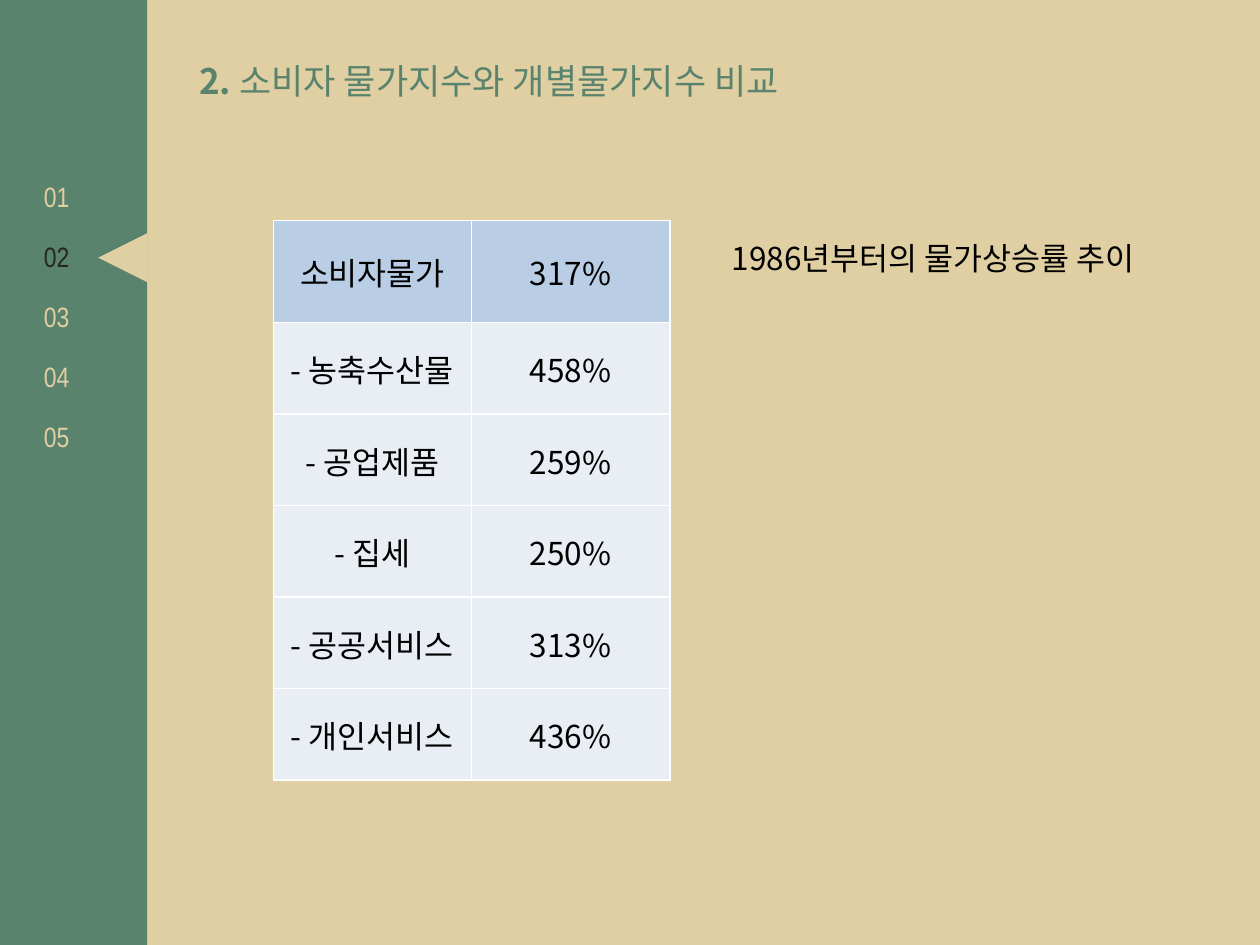
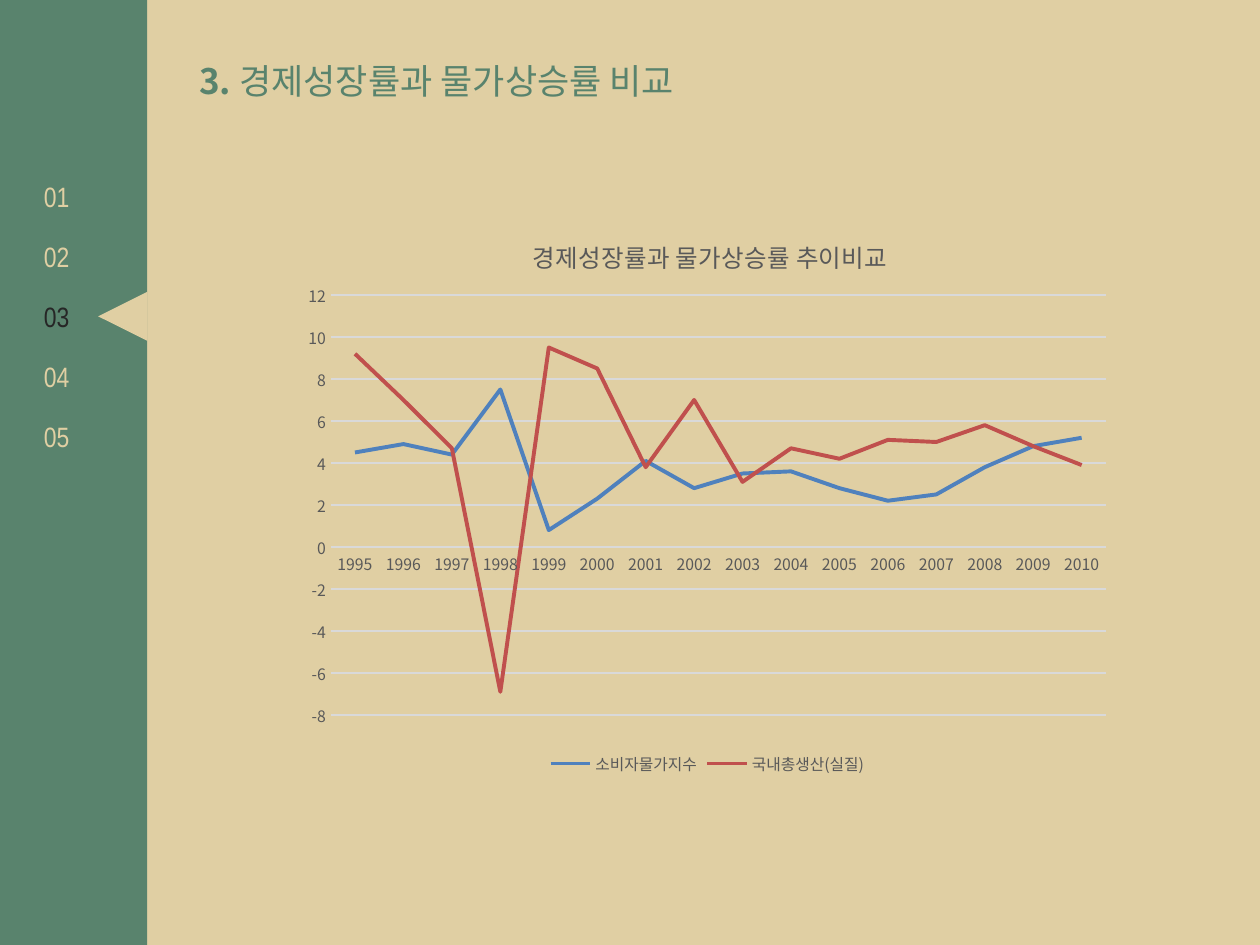
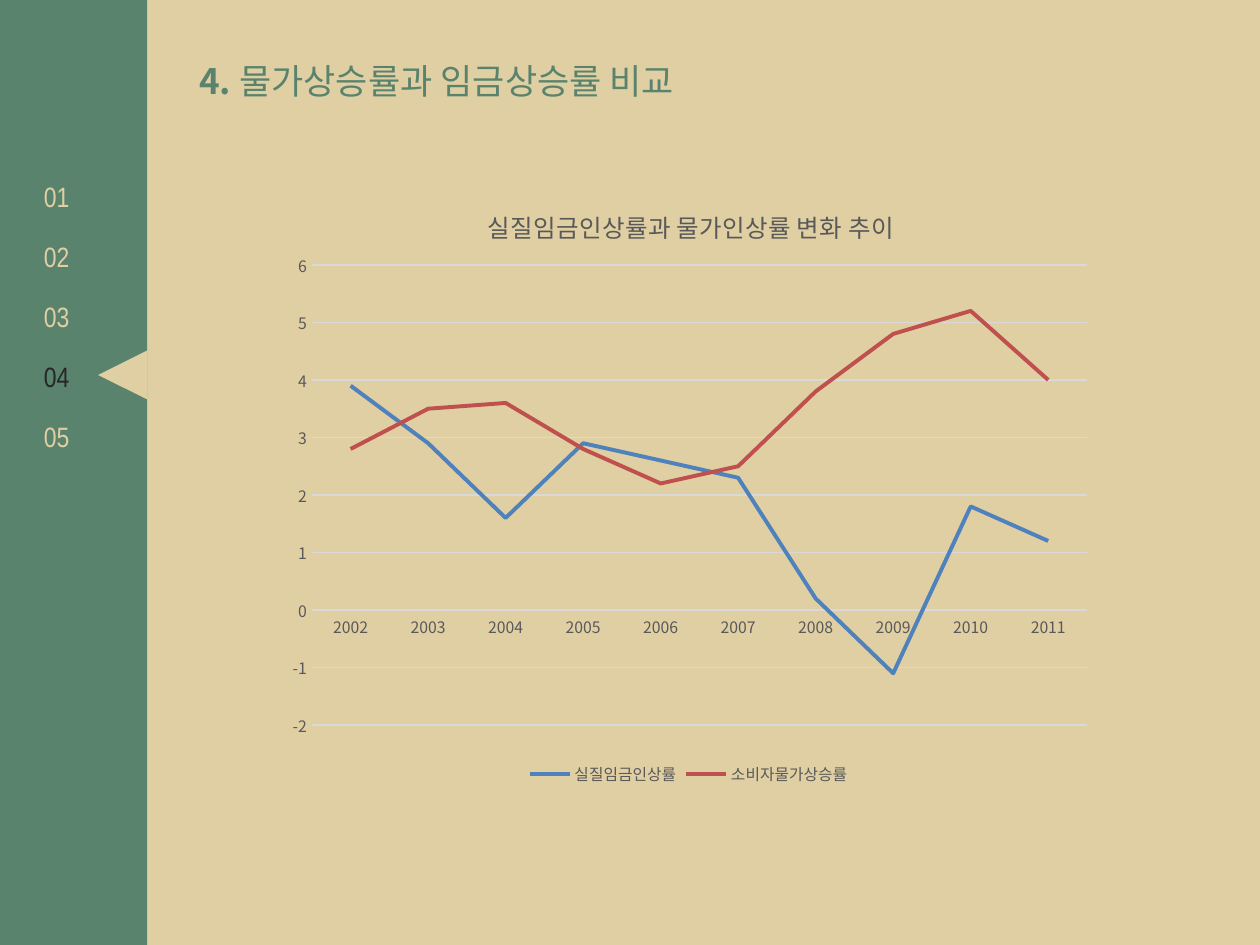
from lxml.etree import SubElement
from pptx import Presentation
from pptx.chart.data import CategoryChartData
from pptx.dml.color import RGBColor
from pptx.enum.chart import XL_CHART_TYPE, XL_LEGEND_POSITION, XL_TICK_MARK
from pptx.enum.shapes import MSO_SHAPE
from pptx.enum.text import MSO_ANCHOR, MSO_AUTO_SIZE, PP_ALIGN
from pptx.oxml import parse_xml
from pptx.oxml.ns import nsdecls, qn
from pptx.util import Pt

COLORS = {
    "sand": "E0CFA3", "green": "59836D", "dark": "262626", "black": "000000",
    "white": "FFFFFF", "header": "B9CDE5", "row": "E9EDF4",
    "label": "595959", "grid": "D9D9D9", "blue": "4F81BD", "red": "C0504D",
}
KOREAN = "Noto Sans CJK KR"
NARROW = "Arial Narrow"
SECTIONS = 5
BAND_WIDTH = 84.2


def rgb(name):
    return RGBColor.from_string(COLORS[name])


def format_font(font, size, color="black", name=KOREAN, bold=False):
    """Set a font for both Latin and Korean letters."""
    font.size, font.name, font.bold = Pt(size), name, bold
    font.color.rgb = rgb(color)
    SubElement(font._rPr, qn("a:ea")).set("typeface", name)


def add_run(p, text, align=None, **fmt):
    p.alignment = align
    r = p.add_run()
    r.text = text
    format_font(r.font, **fmt)


def add_text(s, text, x, y, w, h, wrap=True, **fmt):
    tf = s.shapes.add_textbox(Pt(x), Pt(y), Pt(w), Pt(h)).text_frame
    tf.word_wrap = wrap
    add_run(tf.paragraphs[0], text, **fmt)


def add_block(s, kind, x, y, w, h, color):
    sp = s.shapes.add_shape(kind, Pt(x), Pt(y), Pt(w), Pt(h))
    sp.shadow.inherit = False
    sp.fill.solid()
    sp.fill.fore_color.rgb = rgb(color)
    sp.line.fill.background()
    return sp


def add_navigation(s, current):
    add_block(s, MSO_SHAPE.RECTANGLE, 0, 0, BAND_WIDTH, 540, "green")
    size = 28.1
    pointer = add_block(s, MSO_SHAPE.ISOSCELES_TRIANGLE, BAND_WIDTH - size,
                        99.7 + 33.5 * (current - 1), size, size, "sand")
    pointer.rotation = 270
    for i in range(SECTIONS):
        add_text(s, f"{i + 1:02}", 18, 99.3 + 34.2 * i, 36, 26.6, size=16,
                 name=NARROW, color="dark" if i + 1 == current else "sand")


def add_section_slide(prs, section, title):
    s = prs.slides.add_slide(prs.slide_layouts[5])
    add_navigation(s, section)
    sp = s.shapes.title
    sp.left, sp.top, sp.width, sp.height = Pt(106.6), Pt(30.2), Pt(412), Pt(31.7)
    tf = sp.text_frame
    tf.auto_size = MSO_AUTO_SIZE.NONE
    tf.vertical_anchor = MSO_ANCHOR.TOP
    p = tf.paragraphs[0]
    for text, bold in ((f"{section}. ", True), (title, False)):
        add_run(p, text, align=PP_ALIGN.LEFT, size=20, color="green", bold=bold)
    return s


def add_borders(cell, color, width):
    tcPr = cell._tc.get_or_add_tcPr()
    for i, side in enumerate("LRTB"):
        tcPr.insert(i, parse_xml(
            f'<a:ln{side} {nsdecls("a")} w="{Pt(width)}"><a:solidFill>'
            f'<a:srgbClr val="{COLORS[color]}"/></a:solidFill></a:ln{side}>'))


def add_price_table(s, rows, x, y, col_width, header_height, row_height):
    height = header_height + row_height * (len(rows) - 1)
    table = s.shapes.add_table(len(rows), 2, Pt(x), Pt(y),
                               Pt(2 * col_width), Pt(height)).table
    table.first_row = table.horz_banding = False
    for col in table.columns:
        col.width = Pt(col_width)
    for i, values in enumerate(rows):
        table.rows[i].height = Pt(row_height if i else header_height)
        for j, text in enumerate(values):
            cell = table.cell(i, j)
            cell.fill.solid()
            cell.fill.fore_color.rgb = rgb("row" if i else "header")
            cell.margin_left = cell.margin_right = cell.margin_top = Pt(0.7)
            cell.margin_bottom = 0
            cell.vertical_anchor = MSO_ANCHOR.MIDDLE
            add_run(cell.text_frame.paragraphs[0], text,
                    align=PP_ALIGN.CENTER, size=18)
            add_borders(cell, "white", 1)


def set_layout(parent, index, **fractions):
    """Place a chart part by fractions of the chart's size."""
    for old in parent.findall(qn("c:layout")):
        parent.remove(old)
    target = '<c:layoutTarget val="inner"/>' if "w" in fractions else ""
    modes = "".join(f'<c:{k}Mode val="edge"/>' for k in fractions if k in "xy")
    values = "".join(f'<c:{k} val="{v:.4f}"/>' for k, v in fractions.items())
    parent.insert(index, parse_xml(
        f'<c:layout {nsdecls("c")}><c:manualLayout>{target}{modes}{values}'
        '</c:manualLayout></c:layout>'))


def format_axis(axis):
    axis.major_tick_mark = axis.minor_tick_mark = XL_TICK_MARK.NONE
    format_font(axis.tick_labels.font, 9, "label")


def format_line(line, color, width):
    line.color.rgb = rgb(color)
    line.width = Pt(width)


def add_line_chart(s, title, years, series, x, y, w, h, low, high, step, title_left):
    data = CategoryChartData()
    data.categories = [str(year) for year in years]
    for name, values in series.items():
        data.add_series(name, values)
    chart = s.shapes.add_chart(XL_CHART_TYPE.LINE, Pt(x), Pt(y), Pt(w), Pt(h),
                               data).chart
    format_font(chart.font, 10)

    chart.has_title = True
    add_run(chart.chart_title.text_frame.paragraphs[0], title,
            size=14, color="label")
    set_layout(chart.chart_title._element, 1, x=title_left / w, y=15.4 / h)
    left, right, top, bottom = 22, 9.5, 52, 37
    set_layout(chart._chartSpace.chart.plotArea, 0, x=left / w, y=top / h,
               w=(w - left - right) / w, h=(h - top - bottom) / h)

    chart.has_legend = True
    chart.legend.position = XL_LEGEND_POSITION.BOTTOM
    chart.legend.include_in_layout = False
    format_font(chart.legend.font, 9, "label")

    format_axis(chart.category_axis)
    format_line(chart.category_axis.format.line, "grid", 0.75)
    axis = chart.value_axis
    format_axis(axis)
    axis.format.line.fill.background()
    axis.minimum_scale, axis.maximum_scale, axis.major_unit = low, high, step
    format_line(axis.major_gridlines.format.line, "grid", 0.75)

    chart.plots[0].vary_by_categories = False
    for ser, color in zip(chart.plots[0].series, ("blue", "red")):
        ser.smooth = False
        format_line(ser.format.line, color, 2.25)


def main():
    prs = Presentation()
    prs.slide_width, prs.slide_height = Pt(720), Pt(540)
    fill = prs.slide_master.background.fill
    fill.solid()
    fill.fore_color.rgb = rgb("sand")

    s = add_section_slide(prs, 2, "소비자 물가지수와 개별물가지수 비교")
    add_price_table(s, [
        ("소비자물가", "317%"),
        ("- 농축수산물", "458%"),
        ("- 공업제품", "259%"),
        ("- 집세", "250%"),
        ("- 공공서비스", "313%"),
        ("- 개인서비스", "436%"),
    ], 156.2, 126, col_width=113.3, header_height=58.3, row_height=52.3)
    add_text(s, "1986년부터의 물가상승률 추이", 411, 133.2, 267, 29,
             wrap=False, size=18)

    s = add_section_slide(prs, 3, "경제성장률과 물가상승률 비교")
    add_line_chart(s, "경제성장률과 물가상승률 추이비교", range(1995, 2011), {
        "소비자물가지수": (4.5, 4.9, 4.4, 7.5, 0.8, 2.3, 4.1, 2.8,
                    3.5, 3.6, 2.8, 2.2, 2.5, 3.8, 4.8, 5.2),
        "국내총생산(실질)": (9.2, 7, 4.7, -6.9, 9.5, 8.5, 3.8, 7,
                      3.1, 4.7, 4.2, 5.1, 5, 5.8, 4.8, 3.9),
    }, 167, 116.6, 474.5, 329, low=-8, high=12, step=2, title_left=135)

    s = add_section_slide(prs, 4, "물가상승률과 임금상승률 비교")
    add_line_chart(s, "실질임금인상률과 물가인상률 변화 추이", range(2002, 2012), {
        "실질임금인상률": (3.9, 2.9, 1.6, 2.9, 2.6, 2.3, 0.2, -1.1, 1.8, 1.2),
        "소비자물가상승률": (2.8, 3.5, 3.6, 2.8, 2.2, 2.5, 3.8, 4.8, 5.2, 4),
    }, 156.2, 99.4, 474.5, 352, low=-2, high=6, step=1, title_left=120)

    prs.save("out.pptx")


if __name__ == "__main__":
    main()
